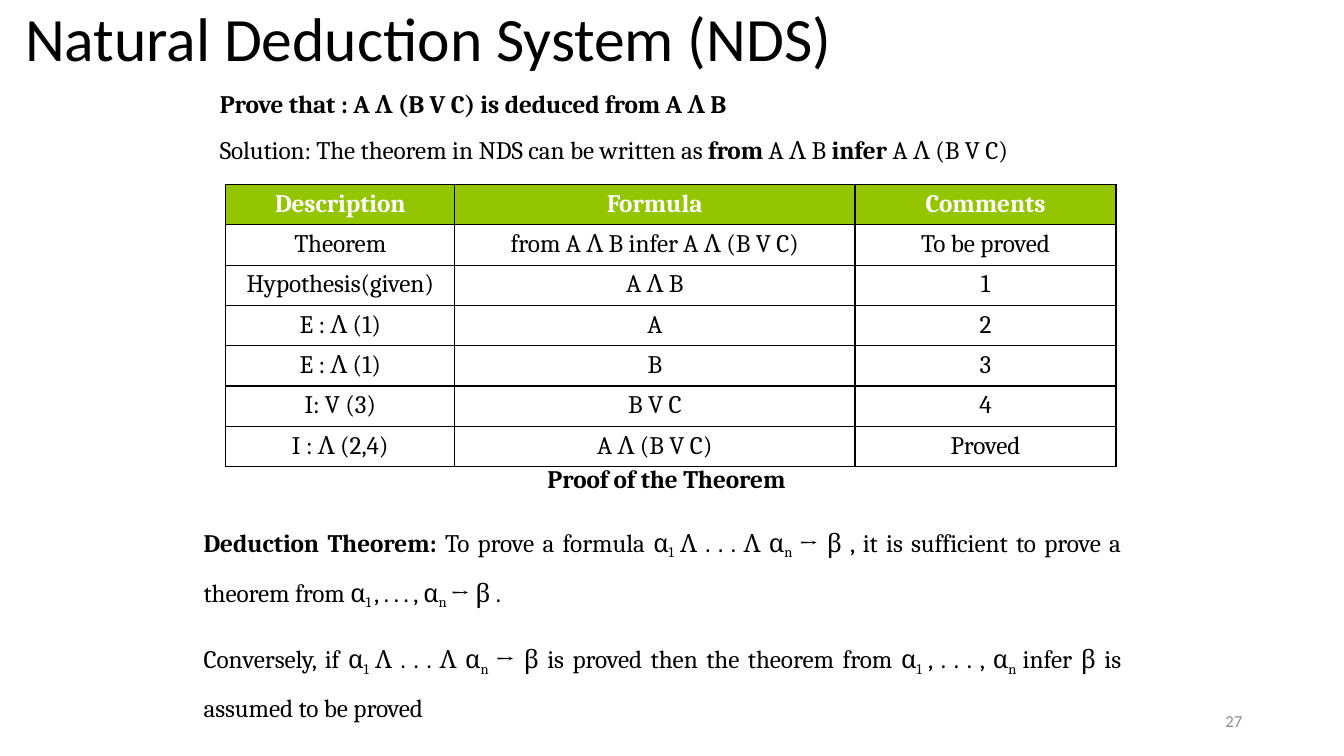
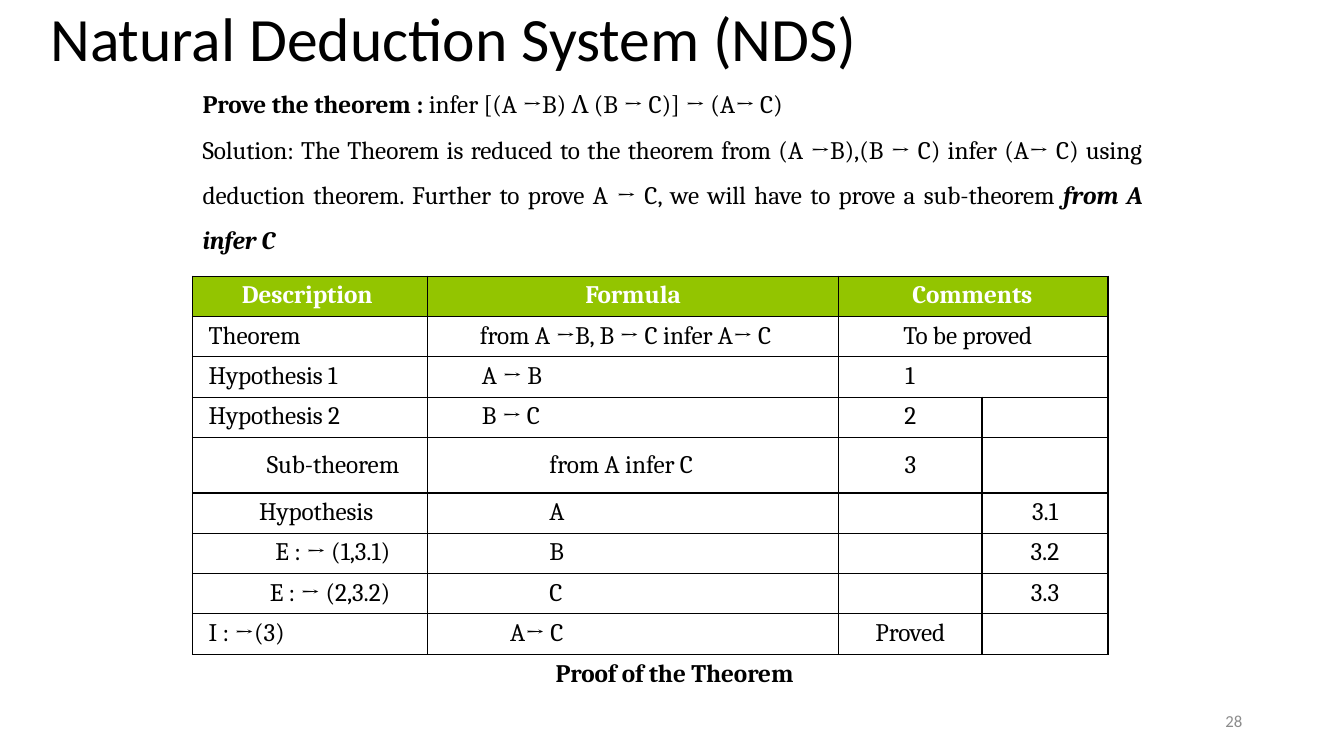
from lxml import etree
from pptx import Presentation
from pptx.dml.color import RGBColor
from pptx.enum.text import MSO_ANCHOR, MSO_AUTO_SIZE, PP_ALIGN
from pptx.oxml.ns import qn
from pptx.util import Inches, Pt

LEFT, CENTER, RIGHT = PP_ALIGN.LEFT, PP_ALIGN.CENTER, PP_ALIGN.RIGHT
JUSTIFY = PP_ALIGN.JUSTIFY
MIDDLE = MSO_ANCHOR.MIDDLE
NO_FIT = MSO_AUTO_SIZE.NONE
TITLE_ONLY = 5

COLORS = {"text": "000000", "header": "93C500", "header_text": "FFFFFF",
          "line": "000000", "number": "8C8C8C"}
HEADING, BODY = "Calibri", "Cambria"
TITLE = "Natural Deduction System (NDS)"
HEADERS = ["Description", "Formula", "Comments"]
CAPTION = [("Proof of the Theorem", "b")]

ALPHA_1 = [("α", ""), ("1 ", "s")]
ALPHA_N = [("α", ""), ("n ", "s")]
CONJUNCTION = ALPHA_1 + [("Ʌ . . . Ʌ ", "")] + ALPHA_N
SEQUENCE = ALPHA_1 + [(", . . . , ", "")] + ALPHA_N

SLIDES = [
    {
        "number": "27",
        "title_box": (0.25, 0.07, 10.5, 0.68),
        "texts": [
            {"box": (2.17, 0.72, 8.13, 0.93), "top": 0.16, "paragraphs": [
                {"runs": [("Prove that : A Ʌ (B V C) is deduced from A Ʌ B", "b")]},
                {"before": 10.8, "runs": [
                    ("Solution: The theorem in NDS can be written as ", ""),
                    ("from ", "b"), ("A Ʌ B ", ""), ("infer ", "b"),
                    ("A Ʌ (B V C)", "")]},
            ]},
            {"box": (1.96, 4.59, 9.16, 2.41), "top": 0.01, "paragraphs": [
                {"runs": CAPTION, "indent": 3.47},
                {"align": JUSTIFY, "indent": 0.06, "spacing": 1.5, "before": 11.8,
                 "runs": [("Deduction Theorem: ", "b"), ("To prove a formula ", "")]
                 + CONJUNCTION
                 + [("→ β , it is sufficient to prove a theorem from ", "")]
                 + SEQUENCE + [("→ β .", "")]},
                {"align": JUSTIFY, "indent": 0.06, "spacing": 1.5, "before": 11.8,
                 "runs": [("Conversely, if ", "")] + CONJUNCTION
                 + [("→ β is proved then the theorem from ", "")] + SEQUENCE
                 + [("infer β is assumed to be proved", "")]},
            ]},
        ],
        "table": {
            "at": (2.24, 1.83), "cols": [2.27, 3.97, 2.59], "merged": 0,
            "tall_row": None,
            "rows": [
                HEADERS,
                ["Theorem", "from A Ʌ B infer A Ʌ (B V C)", "To be proved"],
                ["Hypothesis(given)", "A Ʌ B", "1"],
                ["E : Ʌ (1)", "A", "2"],
                ["E : Ʌ (1)", "B", "3"],
                ["I: V (3)", "B V C", "4"],
                ["I : Ʌ (2,4)", "A Ʌ (B V C)", "Proved"],
            ],
        },
    },
    {
        "number": "28",
        "title_box": (0.5, 0.07, 9.58, 0.68),
        "texts": [
            {"box": (5.5, 6.51, 2.48, 0.33), "top": 0.01,
             "paragraphs": [{"runs": CAPTION}]},
            {"box": (2, 0.72, 9.33, 1.83), "top": 0.16, "paragraphs": [
                {"align": JUSTIFY, "runs": [
                    ("Prove the theorem : ", "b"),
                    ("infer [(A →B) Ʌ (B → C)] → (A→ C)", "")]},
                {"align": JUSTIFY, "spacing": 1.5, "runs": [
                    ("Solution: The Theorem is reduced to the theorem from "
                     "(A →B),(B → C) infer (A→ C) using deduction theorem. "
                     "Further to prove A → C, we will have to prove a "
                     "sub-theorem ", ""),
                    ("from A infer C", "bi")]},
            ]},
        ],
        "table": {
            "at": (1.91, 2.74), "cols": [2.33, 4.08, 1.42, 1.25], "merged": 3,
            "tall_row": 4,
            "rows": [
                [(HEADERS[0], LEFT, 0.49), HEADERS[1], (HEADERS[2], LEFT, 0.73), ""],
                [("Theorem", LEFT, 0.16),
                 ("from A →B, B → C infer A→ C", LEFT, 0.52),
                 ("To be proved", LEFT, 0.64), ""],
                [("Hypothesis 1", LEFT, 0.16), ("A → B", LEFT, 0.54),
                 ("1", LEFT, 0.66), ""],
                [("Hypothesis 2", LEFT, 0.16), ("B → C", LEFT, 0.54), "2", ""],
                [("Sub-theorem", RIGHT, 0.28), ("from A infer C", LEFT, 1.21),
                 "3", ""],
                [("Hypothesis", LEFT, 0.66), ("A", LEFT, 1.21), "", "3.1"],
                [("E : → (1,3.1)", RIGHT, 0.37), ("B", LEFT, 1.21), "", "3.2"],
                [("E : → (2,3.2)", RIGHT, 0.37), ("C", LEFT, 1.21), "", "3.3"],
                [("I : →(3)", LEFT, 0.16), ("A→ C", LEFT, 0.82), "Proved", ""],
            ],
        },
    },
]


def rgb(name):
    return RGBColor.from_string(COLORS[name])


def style(p, size=18, font=BODY, color="text", align=LEFT, bold=None):
    p.alignment = align
    p.font.size = Pt(size)
    p.font.name = font
    p.font.color.rgb = rgb(color)
    p.font.bold = bold
    p.font._rPr.set("spc", "-6")


def set_frame(tf, top, side=0):
    tf.word_wrap = True
    tf.auto_size = NO_FIT
    tf.margin_left = tf.margin_right = Inches(side)
    tf.margin_top, tf.margin_bottom = Inches(top), 0


def add_frame(s, box, top, side=0):
    tf = s.shapes.add_textbox(*map(Inches, box)).text_frame
    set_frame(tf, top, side)
    return tf


def add_title(s, box):
    sp = s.shapes.title
    sp.left, sp.top, sp.width, sp.height = map(Inches, box)
    tf = sp.text_frame
    set_frame(tf, 0.01)
    tf.vertical_anchor = MIDDLE
    p = tf.paragraphs[0]
    p.text = TITLE
    p.line_spacing = 0.9
    style(p, 44, HEADING)


def add_text(s, box, top, paragraphs):
    tf = add_frame(s, box, top)
    for i, item in enumerate(paragraphs):
        p = tf.add_paragraph() if i else tf.paragraphs[0]
        pPr = p._p.get_or_add_pPr()
        pPr.set("marL", str(Inches(item.get("indent", 0.01))))
        pPr.set("indent", "0")
        p.line_spacing = item.get("spacing", 1.0)
        p.space_before = Pt(item.get("before", 0))
        style(p, align=item.get("align", LEFT))
        for text, marks in item["runs"]:
            r = p.add_run()
            r.text = text
            if "b" in marks:
                r.font.bold = True
            if "i" in marks:
                r.font.italic = True
            if "s" in marks:
                r.font._rPr.set("baseline", "-21000")


def add_borders(cell):
    tcPr = cell._tc.get_or_add_tcPr()
    for side in ("lnL", "lnR", "lnT", "lnB"):
        ln = etree.SubElement(tcPr, qn("a:" + side), w=str(Pt(1)))
        fill = etree.SubElement(ln, qn("a:solidFill"))
        etree.SubElement(fill, qn("a:srgbClr"), val=COLORS["line"])


def fill_cell(cell, content, header, top):
    text, align, margin = content if isinstance(content, tuple) else (content, CENTER, 0)
    cell.margin_left = Inches(margin if align == LEFT else 0)
    cell.margin_right = Inches(margin if align == RIGHT else 0)
    cell.margin_top, cell.margin_bottom = Inches(top), 0
    add_borders(cell)
    if header:
        cell.fill.solid()
        cell.fill.fore_color.rgb = rgb("header")
    else:
        cell.fill.background()
    p = cell.text_frame.paragraphs[0]
    if text:
        p.text = text
    style(p, color="header_text" if header else "text", align=align, bold=header)


def add_proof(s, at, cols, merged, tall_row, rows):
    heights = [0.55 if i == tall_row else 0.4 for i in range(len(rows))]
    size = (sum(cols), sum(heights))
    table = s.shapes.add_table(len(rows), len(cols), *map(Inches, at + size)).table
    table.horz_banding = False
    for column, width in zip(table.columns, cols):
        column.width = Inches(width)
    for i, row in enumerate(rows):
        table.rows[i].height = Inches(heights[i])
        for j, content in enumerate(row):
            fill_cell(table.cell(i, j), content, i == 0,
                      0.13 if i == tall_row else 0.05)
    for i in range(merged):
        table.cell(i, 2).merge(table.cell(i, 3))


def add_number(s, number):
    tf = add_frame(s, (9.42, 6.95, 3, 0.4), 0, 0.1)
    tf.vertical_anchor = MIDDLE
    p = tf.paragraphs[0]
    p.text = number
    style(p, 12, HEADING, "number", RIGHT)


def main():
    prs = Presentation()
    prs.slide_width, prs.slide_height = Inches(13.33), Inches(7.5)
    for content in SLIDES:
        s = prs.slides.add_slide(prs.slide_layouts[TITLE_ONLY])
        add_title(s, content["title_box"])
        for text in content["texts"]:
            add_text(s, **text)
        add_proof(s, **content["table"])
        add_number(s, content["number"])
    prs.save("out.pptx")


if __name__ == "__main__":
    main()
